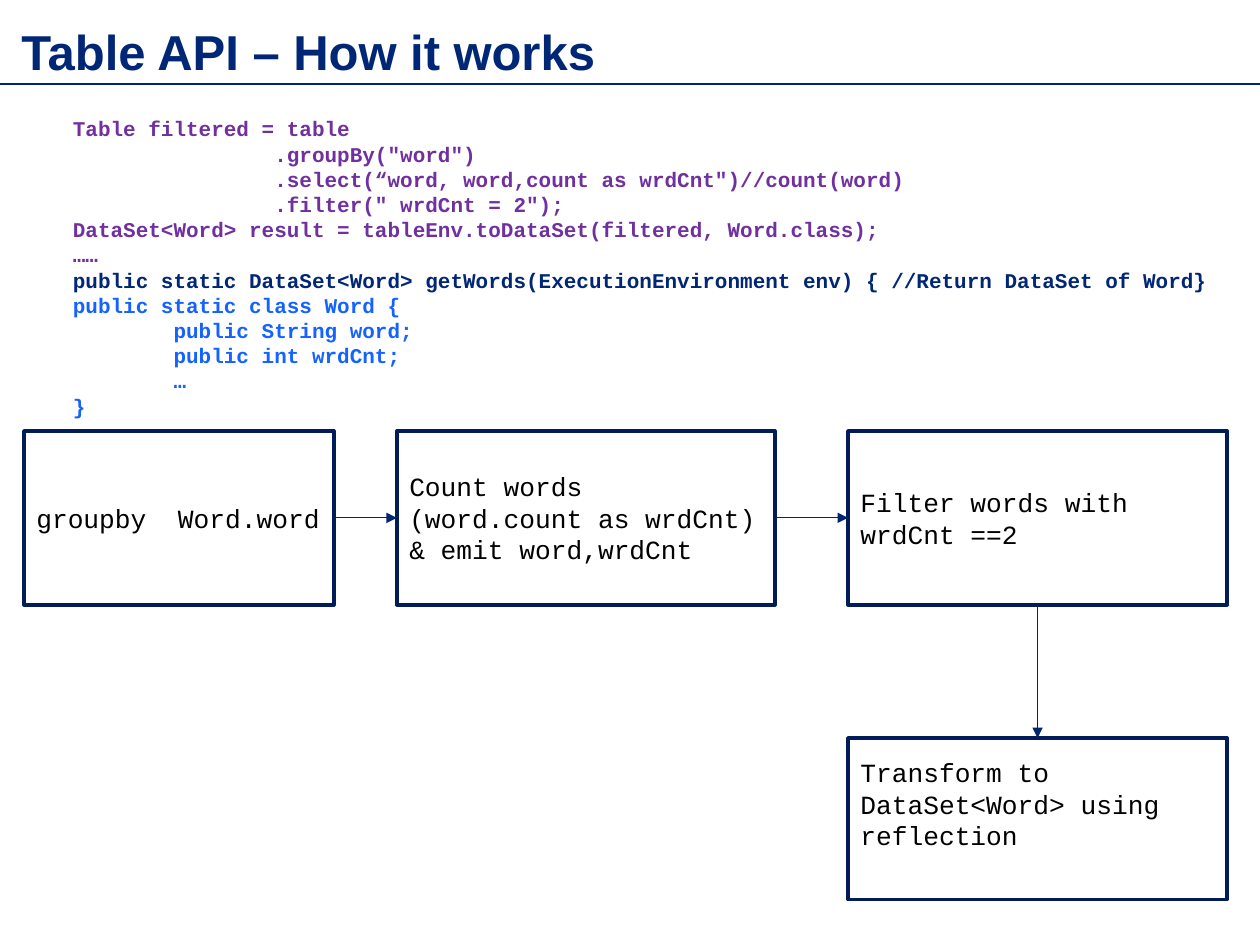
from dataclasses import dataclass

from lxml.etree import SubElement
from pptx import Presentation
from pptx.dml.color import RGBColor
from pptx.enum.shapes import MSO_CONNECTOR, MSO_SHAPE
from pptx.enum.text import MSO_ANCHOR, MSO_AUTO_SIZE, PP_ALIGN
from pptx.oxml.ns import qn
from pptx.util import Inches, Pt

WIDTH, HEIGHT = Inches(10), Inches(7.5)
COLORS = {
    "navy": "002776",
    "rule": "002673",
    "border": "001D57",
    "purple": "7030A0",
    "blue": "1462FF",
    "black": "000000",
}
TITLE_FONT = {"name": "Arial", "size": Pt(28), "bold": True}
CODE_FONT = {"name": "Courier New", "size": Pt(12), "bold": True}
STEP_FONT = {"name": "Courier New", "size": Pt(15), "bold": False}
TOP, RIGHT, BOTTOM, LEFT = 0, 3, 2, 1


@dataclass(frozen=True)
class Area:
    left: float
    top: float
    width: float
    height: float

    def lengths(self) -> tuple[int, int, int, int]:
        return (int(self.left * WIDTH), int(self.top * HEIGHT),
                int(self.width * WIDTH), int(self.height * HEIGHT))


@dataclass(frozen=True)
class Step:
    lines: tuple[str, ...]
    column: int
    row: int
    bottom_inset: float = 0.05


@dataclass(frozen=True)
class Link:
    source: int
    source_side: int
    target: int
    target_side: int


COLUMNS = ((0.019, 0.246), (0.315, 0.3), (0.673, 0.301))
ROWS = ((0.456, 0.184), (0.781, 0.171))
STEPS = (
    Step(("groupby  Word.word",), 0, 0),
    Step(("Count words (word.count as wrdCnt)", "& emit word,wrdCnt"), 1, 0),
    Step(("Filter words with wrdCnt ==2",), 2, 0),
    Step(("Transform to DataSet<Word> using reflection",), 2, 1, 0.29),
)
LINKS = (
    Link(0, RIGHT, 1, LEFT),
    Link(1, RIGHT, 2, LEFT),
    Link(2, BOTTOM, 3, TOP),
)
CODE = (
    ("purple", (
        "Table filtered = table",
        '                .groupBy("word")',
        '                .select(“word, word,count as wrdCnt")//count(word)',
        '                .filter(" wrdCnt = 2");',
        "DataSet<Word> result = tableEnv.toDataSet(filtered, Word.class);",
        "……",
    )),
    ("navy", (
        "public static DataSet<Word> getWords(ExecutionEnvironment env) "
        "{ //Return DataSet of Word}",
    )),
    ("blue", (
        "public static class Word {",
        "        public String word;",
        "        public int wrdCnt;",
        "        …",
        "}",
    )),
)


def rgb(color: str) -> RGBColor:
    return RGBColor.from_string(COLORS[color])


def apply(target, values: dict) -> None:
    for key, value in values.items():
        setattr(target, key, value)


def write(frame, lines: list[tuple[str, str]], font: dict) -> None:
    for index, (text, color) in enumerate(lines):
        paragraph = frame.add_paragraph() if index else frame.paragraphs[0]
        paragraph.alignment = PP_ALIGN.LEFT
        run = paragraph.add_run()
        run.text = text
        apply(run.font, font)
        run.font.color.rgb = rgb(color)


def add_title(slide, text: str) -> None:
    title = slide.shapes.title
    bounds = Area(0.017, 0.023, 0.911, 0.039).lengths()
    apply(title, dict(zip(("left", "top", "width", "height"), bounds)))
    apply(title.text_frame, {
        "margin_left": 0, "margin_top": 0, "margin_right": 0,
        "margin_bottom": 0, "word_wrap": True,
        "auto_size": MSO_AUTO_SIZE.NONE, "vertical_anchor": MSO_ANCHOR.TOP,
    })
    write(title.text_frame, [(text, "navy")], TITLE_FONT)


def add_code(slide) -> None:
    listing = slide.shapes.add_textbox(*Area(0.048, 0.116, 0.95, 0.336).lengths())
    listing.text_frame.word_wrap = True
    lines = [(text, color) for color, block in CODE for text in block]
    write(listing.text_frame, lines, CODE_FONT)


def add_step(slide, step: Step):
    left, width = COLUMNS[step.column]
    top, height = ROWS[step.row]
    box = slide.shapes.add_shape(
        MSO_SHAPE.RECTANGLE, *Area(left, top, width, height).lengths())
    box.shadow.inherit = False
    box.fill.background()
    box.line.color.rgb = rgb("border")
    box.line.width = Pt(2)
    apply(box.text_frame, {
        "word_wrap": True, "vertical_anchor": MSO_ANCHOR.MIDDLE,
        "margin_bottom": Inches(step.bottom_inset),
    })
    write(box.text_frame, [(text, "black") for text in step.lines], STEP_FONT)
    return box


def add_rule(slide, left: int, top: int, right: int, bottom: int):
    rule = slide.shapes.add_connector(
        MSO_CONNECTOR.STRAIGHT, left, top, right, bottom)
    rule.line.color.rgb = rgb("rule")
    rule.line.width = Pt(0.75)
    SubElement(rule._element.spPr, qn("a:effectLst"))
    return rule


def add_link(slide, link: Link, boxes: list) -> None:
    arrow = add_rule(slide, 0, 0, 0, 0)
    arrow.begin_connect(boxes[link.source], link.source_side)
    arrow.end_connect(boxes[link.target], link.target_side)
    SubElement(arrow.line._get_or_add_ln(), qn("a:tailEnd"), type="triangle")


def main() -> None:
    deck = Presentation()
    apply(deck, {"slide_width": WIDTH, "slide_height": HEIGHT})
    slide = deck.slides.add_slide(deck.slide_layouts.get_by_name("Title Only"))
    add_title(slide, "Table API – How it works")
    rule_top = int(0.089 * HEIGHT)
    add_rule(slide, 0, rule_top, WIDTH, rule_top)
    add_code(slide)
    boxes = [add_step(slide, step) for step in STEPS]
    for link in LINKS:
        add_link(slide, link, boxes)
    deck.save("out.pptx")


if __name__ == "__main__":
    main()
